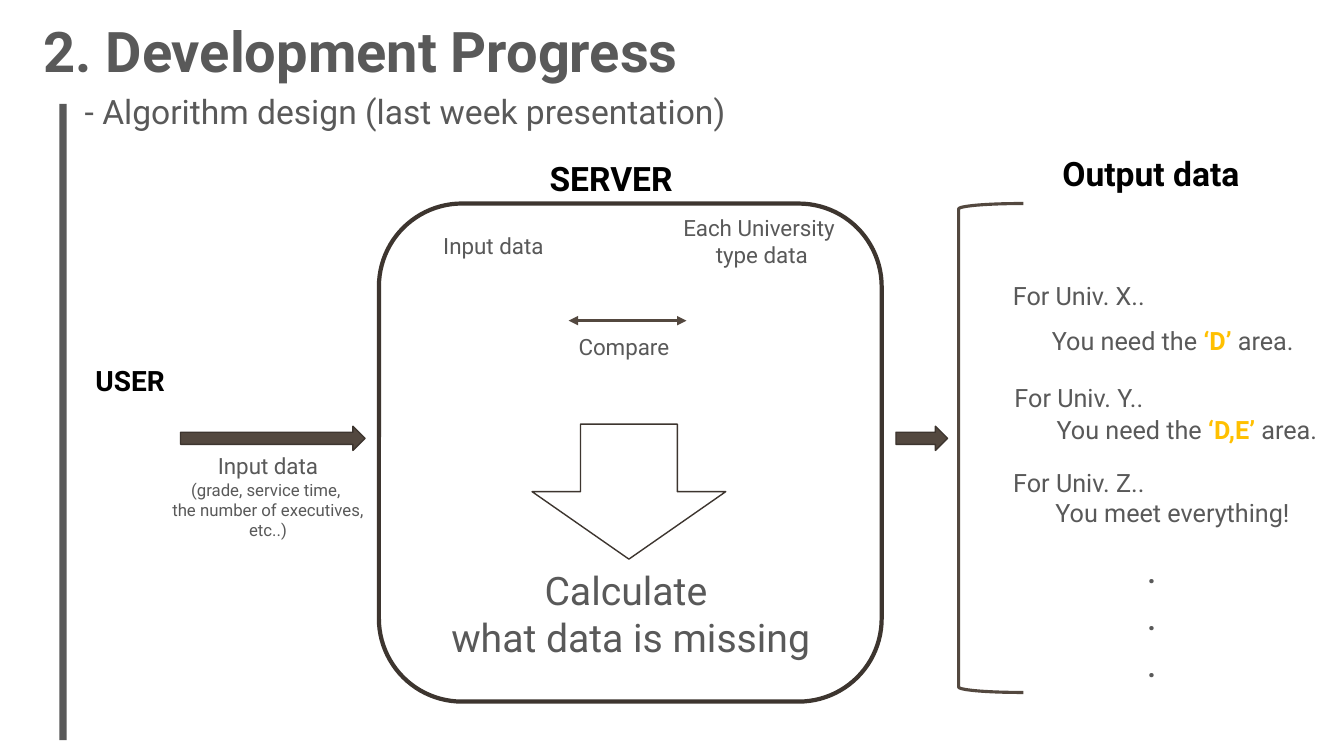
from pptx import Presentation
from pptx.dml.color import RGBColor
from pptx.enum.shapes import MSO_CONNECTOR as Connector, MSO_SHAPE as Shape
from pptx.enum.text import MSO_ANCHOR as Anchor, MSO_AUTO_SIZE as AutoSize, PP_ALIGN as Align
from pptx.oxml.ns import qn
from pptx.util import Cm, Pt
from lxml.etree import SubElement

COLORS = {"gray": "595959", "black": "000000", "gold": "FFC000",
          "brown": "53483F", "dark": "3D352F"}


def color(name):
    return RGBColor.from_string(COLORS[name])


def write(box, text, place, size=18, tint="gray", bold=False, align=Align.CENTER,
          wrap=True, highlight=None, detail_size=None):
    """Place a box and fill it, one paragraph per line of text."""
    box.left, box.top, box.width, box.height = [Cm(length) for length in place]
    frame = box.text_frame
    frame.auto_size = AutoSize.NONE
    frame.word_wrap = wrap
    frame.vertical_anchor = Anchor.TOP
    for index, line in enumerate(text.split("\n")):
        para = frame.add_paragraph() if index else frame.paragraphs[0]
        para.alignment = align
        para.space_before = Pt(0)
        parts = line.partition(highlight) if highlight else (line,)
        for part in parts:
            marked = part == highlight
            span = para.add_run()
            span.text = part
            span.font.name = "Roboto"
            span.font.size = Pt(detail_size if index and detail_size else size)
            span.font.bold = bold or marked
            span.font.color.rgb = color("gold" if marked else tint)


deck = Presentation()
deck.slide_width, deck.slide_height = Cm(33.87), Cm(19.05)
page = deck.slides.add_slide(deck.slide_layouts[1])

# Title and subtitle
title, subtitle = page.placeholders
write(title, "2. Development Progress", (0.84, 0.3, 19.1, 1.96),
      size=40, bold=True, align=Align.LEFT)
write(subtitle, "- Algorithm design (last week presentation)", (1.88, 2.16, 31.99, 1.27),
      size=24, align=Align.LEFT)
for para in subtitle.text_frame.paragraphs:
    properties = para._p.get_or_add_pPr()
    properties.set("marL", "0")
    properties.set("indent", "0")
    SubElement(properties, qn("a:buNone"))

# Side bar, server frame, output bracket and block arrows
shapes = [
    (Shape.RECTANGLE, (1.5, 2.62, 0.18, 16.03), "gray", None, 0),
    (Shape.RIGHT_ARROW, (4.55, 10.74, 4.65, 0.61), "brown", "dark", 1),
    (Shape.ROUNDED_RECTANGLE, (9.55, 5.13, 12.67, 12.55), None, "dark", 3),
    (Shape.LEFT_BRACKET, (24.16, 5.13, 1.63, 12.32), None, "brown", 2.25),
    (Shape.RIGHT_ARROW, (22.58, 10.74, 1.3, 0.61), "brown", "dark", 1),
    (Shape.DOWN_ARROW, (13.41, 10.69, 4.88, 3.4), None, "dark", 1),
]
for kind, place, fill, outline, weight in shapes:
    shape = page.shapes.add_shape(kind, *[Cm(length) for length in place])
    shape.shadow.inherit = False
    if fill:
        shape.fill.solid()
        shape.fill.fore_color.rgb = color(fill)
    else:
        shape.fill.background()
    if outline:
        shape.line.color.rgb = color(outline)
        shape.line.width = Pt(weight)
    else:
        shape.line.fill.background()

# Compare arrow
compare = page.shapes.add_connector(Connector.STRAIGHT, Cm(14.33), Cm(8.08), Cm(17.3), Cm(8.08))
compare.line.color.rgb = color("brown")
compare.line.width = Pt(2.25)
for end in ("a:headEnd", "a:tailEnd"):
    SubElement(compare.line._get_or_add_ln(), qn(end), type="triangle")
SubElement(compare._element.spPr, qn("a:effectLst"))

# Headings, captions and results
heading = dict(size=24, tint="black", bold=True)
caption = dict(size=16)
lead = dict(wrap=False)
texts = [
    ("USER", (1.96, 9.04, 2.64, 1.12), heading | dict(size=20)),
    ("SERVER", (13.51, 3.86, 3.78, 1.27), heading),
    ("Output data", (25.78, 3.73, 6.45, 1.27), heading),
    ("Input data\n(grade, service time, \nthe number of executives,\netc..)",
     (0.48, 11.28, 12.55, 2.49), caption | dict(detail_size=12)),
    ("Input data", (10.57, 5.72, 3.73, 0.94), caption),
    ("Each University \ntype data", (16.38, 5.28, 5.64, 1.63), caption),
    ("Compare", (14.33, 8.28, 3.05, 0.94), caption | dict(align=Align.LEFT)),
    ("Calculate \nwhat data is missing", (10.8, 14.15, 10.19, 2.64), dict(size=28)),
    ("For Univ. X..", (25.22, 6.93, 3.94, 1.02), lead),
    ("You need the ‘D’ area.", (26.14, 8.08, 6.83, 1.02), dict(highlight="‘D’")),
    ("For Univ. Y..", (25.22, 9.5, 3.94, 1.02), lead),
    ("You need the ‘D,E’ area.", (26.14, 10.31, 7.54, 1.02), dict(highlight="‘D,E’")),
    ("For Univ. Z..", (25.22, 11.66, 3.94, 1.02), lead),
    ("You meet everything!", (25.78, 12.4, 7.54, 1.02), {}),
    (".\n.\n.", (28.65, 13.59, 0.76, 3.84), dict(size=28, wrap=False)),
]
for text, place, style in texts:
    write(page.shapes.add_textbox(0, 0, 0, 0), text, place, **style)

deck.save("out.pptx")
